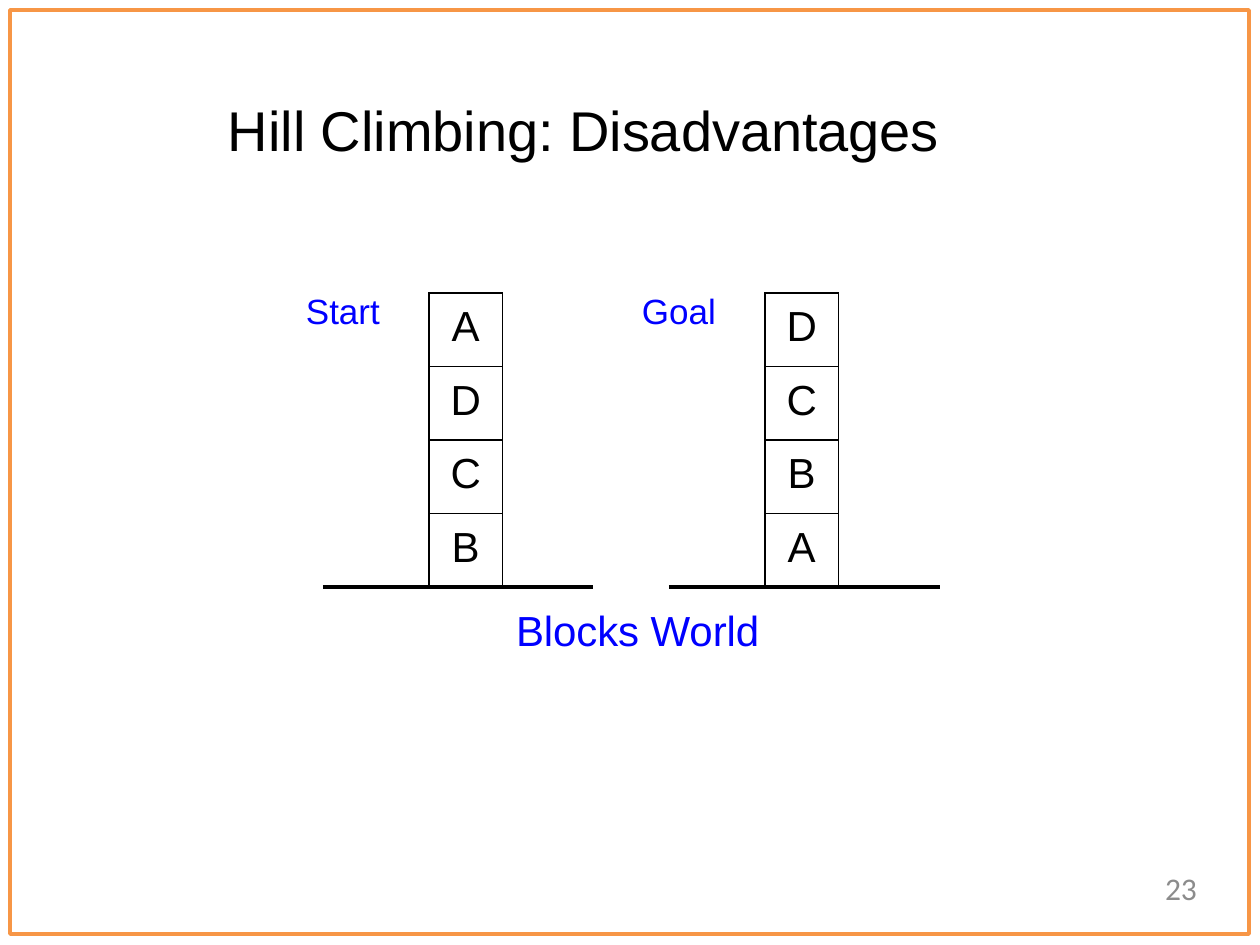
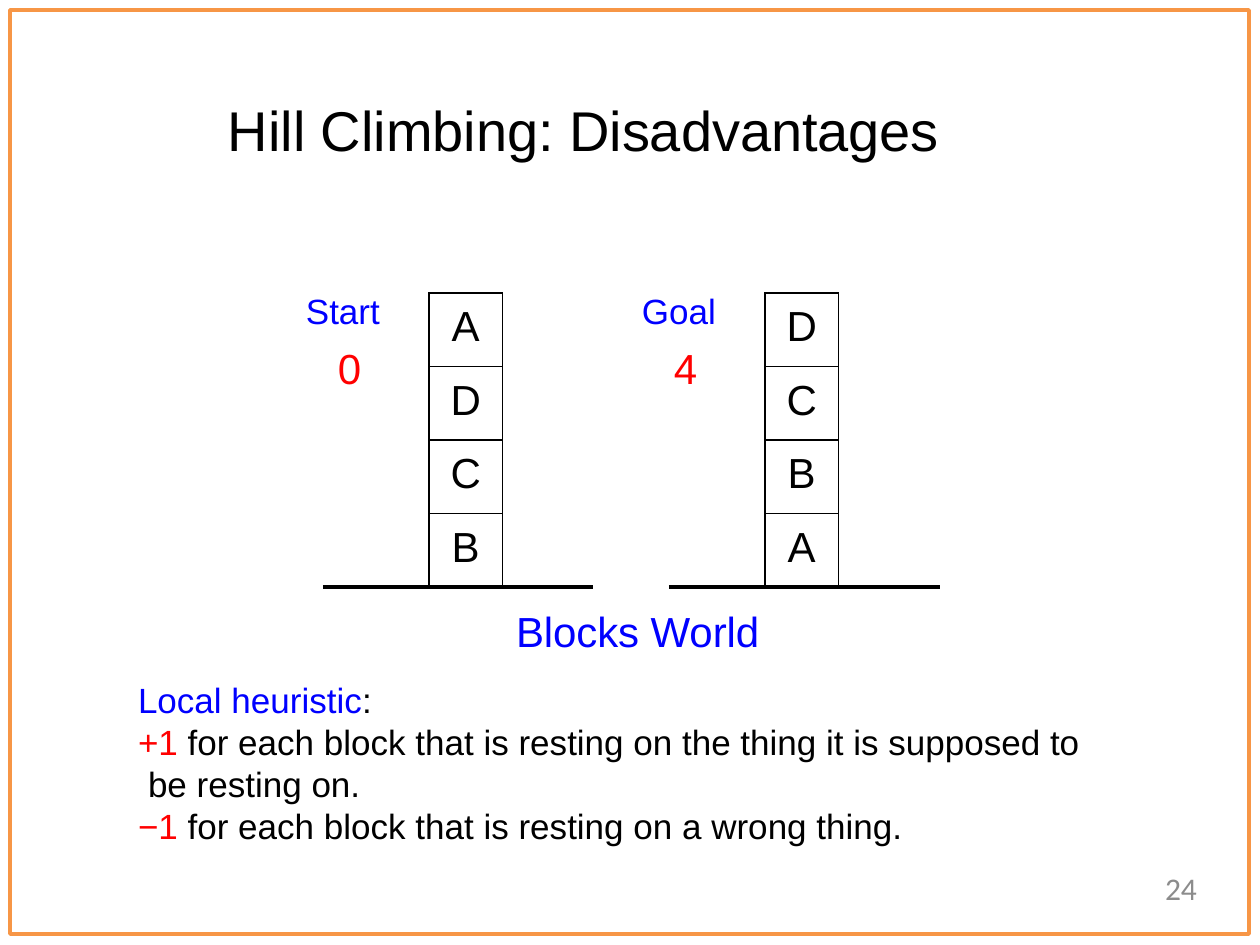
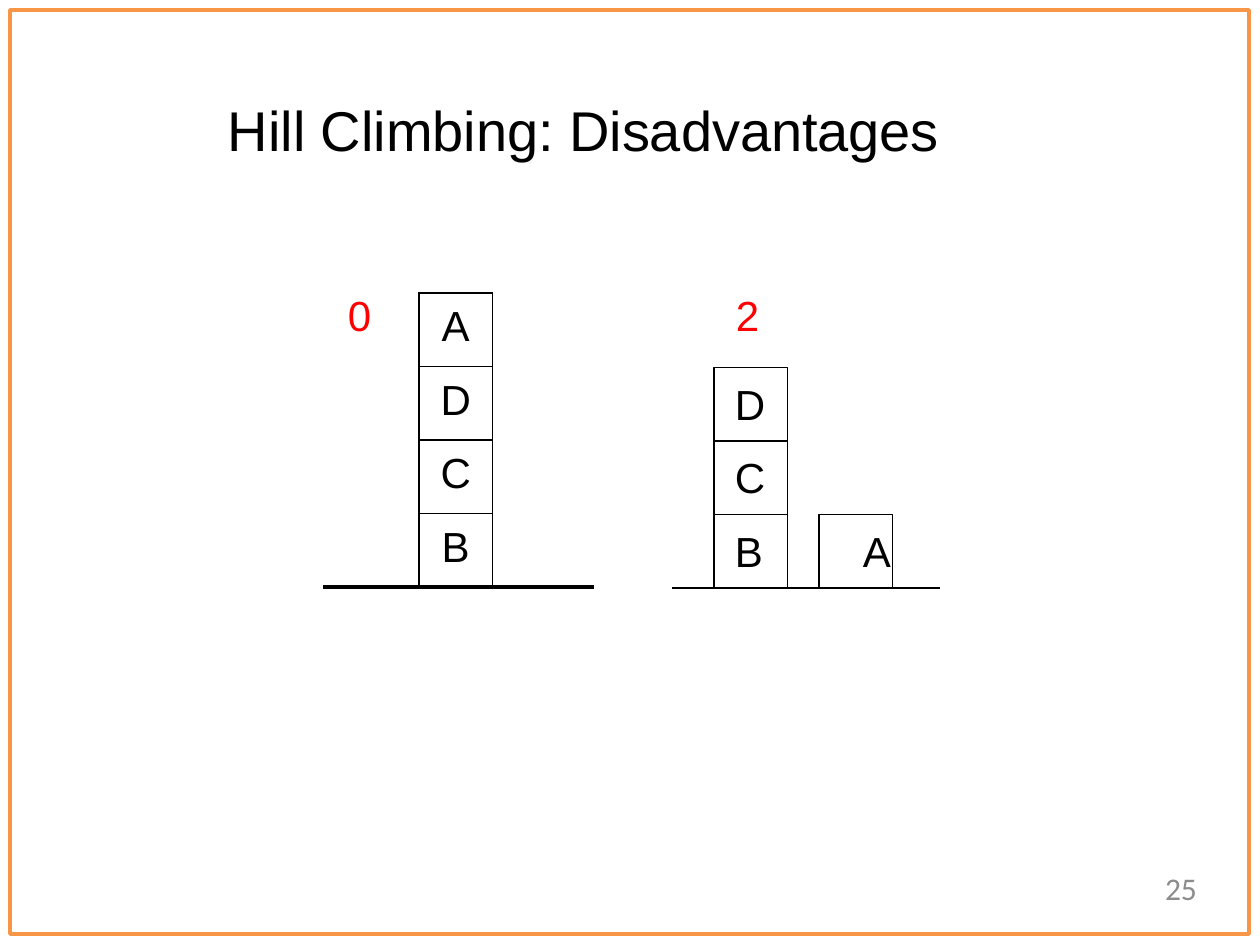
from lxml import etree
from pptx import Presentation
from pptx import util as u
from pptx.dml.color import RGBColor
from pptx.enum import shapes, text
from pptx.oxml.ns import qn

COLORS = {"ink": "000000", "label": "0000FF", "score": "FF0000",
          "frame": "F79646", "number": "8C8C8C"}
SCALE = 914400 / 126
SLIDE_W, SLIDE_H = 1260, 945
BLOCK = 73.5
TOWER_TOP = 293
GROUND_W = 271
THIN, THICK = 1, 2.25

# Run formats: size, colour, letter spacing in points
TITLE = (32, "ink", -0.05)
LETTER = (24, "ink", 0)
CAPTION = (24, "label", -0.05)
LABEL = (20, "label", 0)
SCORE = (24, "score", 0)
BODY = (20, "ink", 0)
BODY_SIGN = (20, "score", 0)


def para(*runs, **layout):
    return {"runs": runs, **layout}


HEADING = "Hill Climbing: Disadvantages"
CAPTION_RUN = ("Blocks World", CAPTION)
HEURISTIC = [
    para(CAPTION_RUN, left=379, before=16.9),
    para(("Local heuristic", LABEL), (":", BODY), left=1, before=13.2),
    para(("+1 ", BODY_SIGN),
         ("for each block that is resting on the thing it is supposed to be resting on.", BODY),
         left=11, hang=10),
    para(("−1 ", BODY_SIGN),
         ("for each block that is resting on a wrong thing.", BODY), left=1),
]

# Towers: ground left edge, widths beside the tower, blocks from the top down
START = (323, (106, 91), "ADCB")
GOAL = (669, (96, 102), "DCBA")
CURRENT = (323, (96, 102), "ADCB")


def label(name, score=None):
    paras = [para((name, LABEL), left=1, before=6)]
    if score:
        paras.append(para((score, SCORE), left=33, before=6))
    return paras


# Texts: box (left, top, width, height), top inset, paragraphs
# Blocks: left edge, level above the ground, letter, letter indent
SLIDES = [
    {"number": "23", "towers": [START, GOAL], "texts": [
        ((305, 288, 77, 45), 1, label("Start")),
        ((641, 288, 78, 45), 1, label("Goal")),
        ((515, 603, 248, 54), 1, [para(CAPTION_RUN, left=1)])]},
    {"number": "24", "towers": [START, GOAL], "texts": [
        ((137, 576, 952, 272), 29, HEURISTIC),
        ((305, 280, 77, 115), 10, label("Start", "0")),
        ((641, 280, 78, 115), 10, label("Goal", "4"))]},
    {"number": "25", "towers": [CURRENT], "texts": [
        ((347, 288, 27, 54), 1, [para(("0", SCORE), left=1)]),
        ((735, 288, 27, 54), 1, [para(("2", SCORE), left=1)])],
     "blocks": [(714, 2, "D", 21), (714, 1, "C", 21), (714, 0, "B", 21), (819, 0, "A", 44)],
     "ground": (672, 940)},
]


def px(length):
    return u.Emu(round(length * SCALE))


def rgb(name):
    return RGBColor.from_string(COLORS[name])


def set_all(target, values):
    for name, value in values.items():
        setattr(target, name, value)


def write(frame, paragraphs, inset=0, font="Arial"):
    set_all(frame, {"word_wrap": True, "vertical_anchor": text.MSO_ANCHOR.TOP,
                    "auto_size": text.MSO_AUTO_SIZE.NONE,
                    "margin_left": 0, "margin_right": 0,
                    "margin_top": px(inset), "margin_bottom": 0})
    fill_paragraphs(frame, paragraphs, font)


def fill_paragraphs(frame, paragraphs, font="Arial"):
    for i, content in enumerate(paragraphs):
        p = frame.paragraphs[0] if i == 0 else frame.add_paragraph()
        set_all(p, {"alignment": content.get("align", text.PP_ALIGN.LEFT),
                    "space_before": u.Pt(content.get("before", 0)),
                    "line_spacing": content.get("leading")})
        props = p._p.get_or_add_pPr()
        props.set("marL", str(px(content.get("left", 0))))
        props.set("indent", str(-px(content.get("hang", 0))))
        for words, (size, color, spacing) in content["runs"]:
            run = p.add_run()
            run.text = words
            set_all(run.font, {"size": u.Pt(size), "name": font, "bold": False})
            run.font.color.rgb = rgb(color)
            run._r.get_or_add_rPr().set("spc", str(round(spacing * 100)))


def add_text(slide, box, inset, paragraphs, font="Arial"):
    write(slide.shapes.add_textbox(*map(px, box)).text_frame, paragraphs, inset, font)


def add_outline(slide, box, color, width):
    outline = slide.shapes.add_shape(shapes.MSO_SHAPE.RECTANGLE, *map(px, box))
    outline.shadow.inherit = False
    outline.fill.background()
    outline.line.color.rgb = rgb(color)
    outline.line.width = u.Pt(width)
    return outline


def set_borders(cell, **widths):
    """Draw the sides named L, R, T or B and hide the others."""
    props = cell._tc.get_or_add_tcPr()
    for side in "LRTB":
        width = widths.get(side, 0)
        line = etree.SubElement(props, qn("a:ln" + side), w=str(u.Pt(width)))
        if width:
            fill = etree.SubElement(line, qn("a:solidFill"))
            etree.SubElement(fill, qn("a:srgbClr"), val=COLORS["ink"])
        else:
            etree.SubElement(line, qn("a:noFill"))
    cell.fill.background()


def add_tower(slide, left, sides, letters):
    rows = len(letters)
    table = slide.shapes.add_table(rows, 3, px(left), px(TOWER_TOP), px(GROUND_W),
                                   px(BLOCK * rows)).table
    set_all(table, {"first_row": False, "horz_banding": False})
    for column, width in zip(table.columns, (sides[0], BLOCK, sides[1])):
        column.width = px(width)
    for i, letter in enumerate(letters):
        table.rows[i].height = px(BLOCK)
        bottom = THICK if i == rows - 1 else THIN
        # The first cell of each merged side column carries the ground line
        ground = {"B": THICK} if i in (0, rows - 1) else {}
        before, block, after = (table.cell(i, j) for j in range(3))
        set_borders(before, R=THIN, **ground)
        set_borders(block, L=THIN, R=THIN, T=THIN, B=bottom)
        set_borders(after, L=THIN, **ground)
        set_all(block, {"margin_left": 0, "margin_right": 0, "margin_top": px(11),
                        "margin_bottom": 0, "vertical_anchor": text.MSO_ANCHOR.TOP})
        fill_paragraphs(block.text_frame, [para((letter, LETTER), align=text.PP_ALIGN.CENTER)])
    for j in (0, 2):
        table.cell(0, j).merge(table.cell(rows - 1, j))


def add_ground(slide, left, right, y):
    ground = slide.shapes.add_connector(shapes.MSO_CONNECTOR.STRAIGHT,
                                        px(left), px(y), px(right), px(y))
    ground.line.color.rgb = rgb("ink")
    ground.line.width = u.Pt(1.5)
    etree.SubElement(ground._element.spPr, qn("a:effectLst"))


def add_slide(deck, content):
    slide = deck.slides.add_slide(deck.slide_layouts[5])
    title = slide.shapes.title
    set_all(title, dict(zip(("left", "top", "width", "height"), map(px, (227, 95, 805, 79)))))
    write(title.text_frame, [para((HEADING, TITLE), left=1)], 1)

    floor = TOWER_TOP + 4 * BLOCK + 1
    for tower in content["towers"]:
        add_tower(slide, *tower)
    for left, level, letter, indent in content.get("blocks", []):
        block = add_outline(slide, (left, floor - (level + 1) * BLOCK, BLOCK, BLOCK), "ink", THIN)
        write(block.text_frame, [para((letter, LETTER), left=indent)], 11)
    if "ground" in content:
        add_ground(slide, *content["ground"], floor)
    for box, inset, paragraphs in content["texts"]:
        add_text(slide, box, inset, paragraphs)

    number = para((content["number"], (18, "number", 0)), left=5,
                  align=text.PP_ALIGN.RIGHT, leading=u.Pt(16.3))
    add_text(slide, (907, 878, 290, 48), 0, [number], "Calibri")
    add_outline(slide, (10, 10, 1239, 924), "frame", 2)


def main():
    deck = Presentation()
    deck.slide_width, deck.slide_height = px(SLIDE_W), px(SLIDE_H)
    for content in SLIDES:
        add_slide(deck, content)
    deck.save("out.pptx")


if __name__ == "__main__":
    main()
